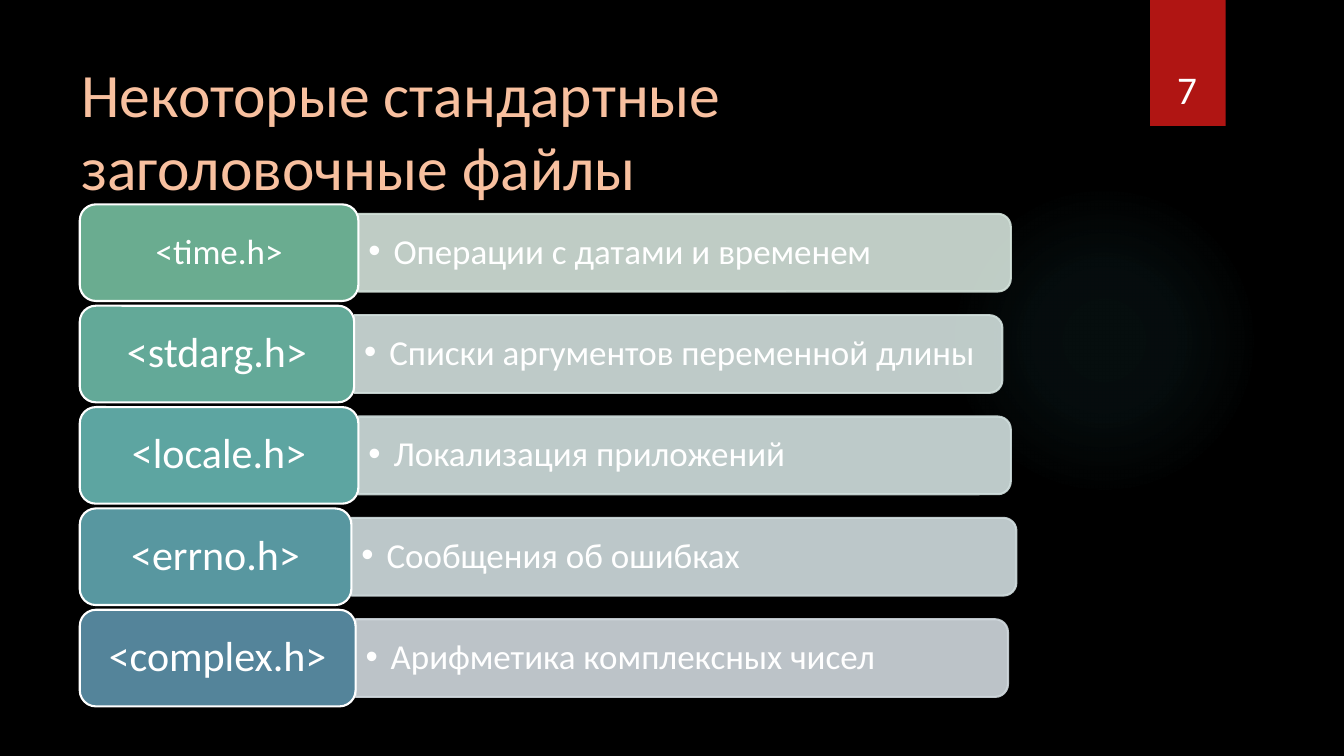
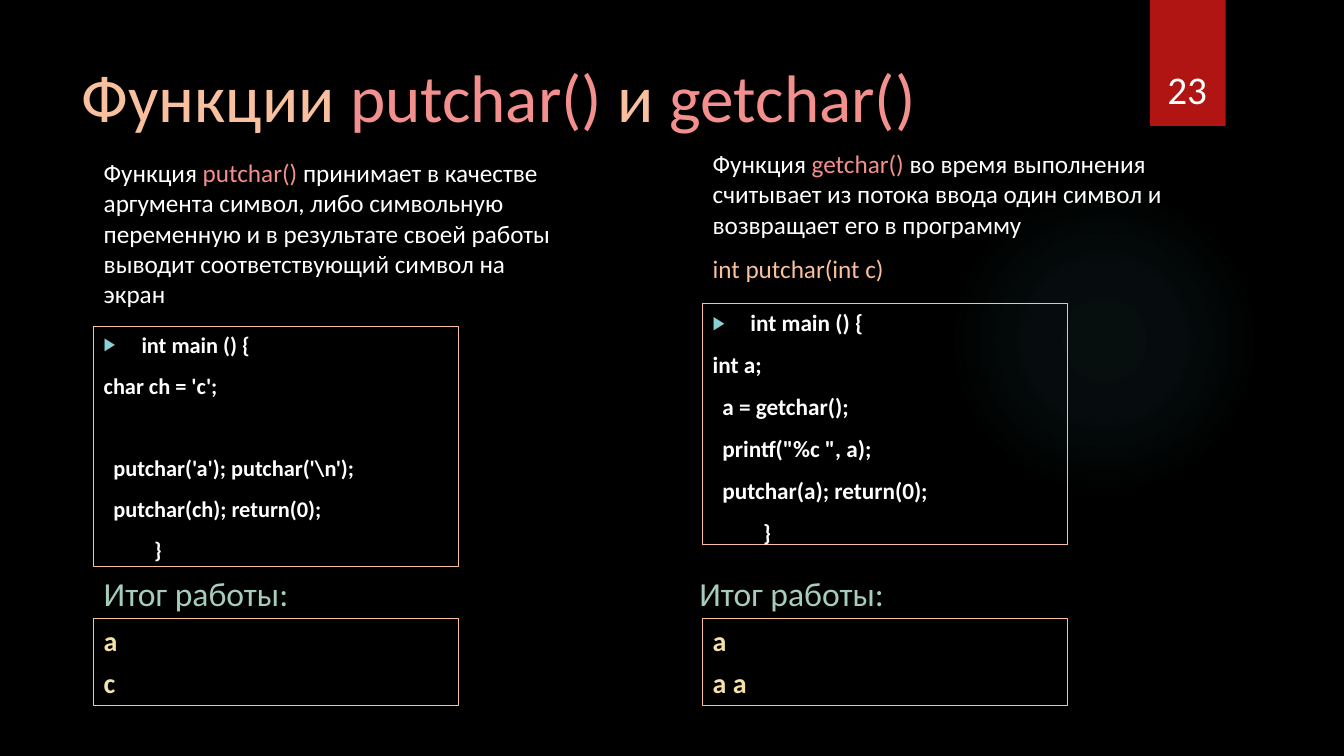
from lxml import etree
from pptx import Presentation
from pptx.dml.color import RGBColor
from pptx.enum.shapes import MSO_SHAPE
from pptx.enum.text import MSO_ANCHOR, MSO_AUTO_SIZE, PP_ALIGN
from pptx.oxml import parse_xml
from pptx.oxml.ns import nsdecls, qn
from pptx.util import Pt

FONT = "Calibri"
COLORS = {
    "background": "000000", "band": "B01513", "glow": "50B9C1",
    "white": "FFFFFF", "peach": "F8C09F", "pink": "F38F8D",
    "mint": "A6CDBC", "yellow": "F5E2A9", "bullet": "8AD0D6",
}

# Shared frames: left, top, width, height
GLOW = (677.5, 132, 222, 222)
BAND = (821.5, 0, 54, 90)
NUMBER = (815, 23, 66, 60.5)
TITLE = (51, 36, 740)
GLOW_STOPS = [(0, 7), (36, 6), (69, 0)]  # position and opacity, in percent

# Text styles
BODY = {"size": 18, "space_before": 10}
CODE = {"size": 16, "bold": True, "space_before": 10}
LABEL = {"size": 24}
RESULT = {"size": 20, "bold": True, "space_before": 6}
HEADER = {"size": 30, "alignment": PP_ALIGN.CENTER, "line_spacing": 0.9}
DESCRIPTION = {"size": 25, "line_spacing": 0.9, "margin": 18, "hanging": 18, "bullet": "•"}
PAGE_NUMBER = {"size": 28, "alignment": PP_ALIGN.CENTER}

# Paragraph variations inside the code boxes
CODE_START = {"margin": 27, "hanging": 27, "bullet": "▶",
              "bullet_color": "bullet", "bullet_percent": 80}
CODE_INDENT = {"margin": 7}
CODE_AFTER_GAP = {"margin": 7, "space_before": 39.5}
CODE_END = {"margin": 36}

HEADERS_SLIDE = {
    "number": "7",
    "title": [("Некоторые стандартные заголовочные файлы", "peach")],
    "title_size": 44,
    "title_height": 110,
    # name, description, name size, name width, bar length, name fill, bar fill
    "rows": [
        ("<time.h>", "Операции с датами и временем", 25, 199, 466, "6AAC90", "D4E3DB"),
        ("<stdarg.h>", "Списки аргументов переменной длины", 30, 196, 463, "63A998", "D3E1DE"),
        ("<locale.h>", "Локализация приложений", 30, 199, 466, "5DA5A1", "D2E0DF"),
        ("<errno.h>", "Сообщения об ошибках", 30, 194, 475, "5897A0", "D1DDDF"),
        ("<complex.h>", "Арифметика комплексных чисел", 30, 197, 466, "54849A", "D1D9DE"),
    ],
}
ROW_LEFT, ROW_TOP, ROW_PITCH = 57, 146, 72.4
NAME_HEIGHT, BAR_HEIGHT = 69, 55.5

FUNCTIONS_SLIDE = {
    "number": "23",
    "title": [("Функции ", "peach"), ("putchar() ", "pink"), ("и ", "peach"), ("getсhar()", "pink")],
    "title_size": 48,
    "title_height": 70,
    "columns": [
        {
            "left": 67, "label_left": 67, "body_height": 119, "code_top": 233, "code_size": 16,
            "body": [
                ([("Функция ", "white"), ("putchar()", "pink"),
                  (" принимает в качестве аргумента символ, либо символьную переменную "
                   "и в результате своей работы выводит соответствующий символ на экран", "white")], {}),
            ],
            "code": [
                ("int main () {", CODE_START),
                ("char ch = 'c';", {}),
                ("putchar('a'); putchar('\\n');", CODE_AFTER_GAP),
                ("putchar(ch); return(0);", CODE_INDENT),
                ("}", CODE_END),
            ],
            "result": ["a", "c"],
        },
        {
            "left": 502, "label_left": 492.5, "body_height": 101, "code_top": 217, "code_size": 16.6,
            "body": [
                ([("Функция ", "white"), ("getchar()", "pink"),
                  (" во время выполнения считывает из потока ввода один символ "
                   "и возвращает его в программу", "white")], {}),
                ([("int putchar(int c)", "peach")], {}),
            ],
            "code": [
                ("int main () {", CODE_START),
                ("int a;", {}),
                ("a = getchar();", CODE_INDENT),
                ("printf(\"%c \", a);", CODE_INDENT),
                ("putchar(a); return(0);", CODE_INDENT),
                ("}", CODE_END),
            ],
            "result": ["a", "a a"],
        },
    ],
}
RESULT_LABEL = "Итог работы:"
BODY_TOP, BODY_WIDTH = 105, 346
BOX_WIDTH, CODE_HEIGHT = 260.5, 172
LABEL_TOP, LABEL_HEIGHT = 405.5, 36
RESULT_TOP, RESULT_HEIGHT = 441.5, 62.5


def rgb(name):
    return RGBColor.from_string(COLORS.get(name, name))


def in_points(frame):
    return [Pt(length) for length in frame]


def add_bullet(properties, style):
    if "bullet_color" in style:
        color = etree.SubElement(properties, qn("a:buClr"))
        etree.SubElement(color, qn("a:srgbClr"), val=COLORS[style["bullet_color"]])
    if "bullet_percent" in style:
        etree.SubElement(properties, qn("a:buSzPct"), val=str(style["bullet_percent"] * 1000))
    etree.SubElement(properties, qn("a:buFont"), typeface="Arial")
    etree.SubElement(properties, qn("a:buChar"), char=style["bullet"])


def format_paragraph(paragraph, style):
    values = {
        "alignment": style.get("alignment", PP_ALIGN.LEFT),
        "line_spacing": style.get("line_spacing"),
        "space_before": Pt(style.get("space_before", 0)),
    }
    for name, value in values.items():
        setattr(paragraph, name, value)
    properties = paragraph.runs[0]._r.getparent().get_or_add_pPr()
    properties.set("marL", str(Pt(style.get("margin", 0))))
    properties.set("indent", str(-Pt(style.get("hanging", 0))))
    if "bullet" in style:
        add_bullet(properties, style)


def write(shape, paragraphs, style, anchor=MSO_ANCHOR.TOP):
    """Fill a shape with (runs, style changes) pairs; a run is (text, colour)."""
    frame = shape.text_frame
    settings = {"word_wrap": True, "auto_size": MSO_AUTO_SIZE.NONE, "vertical_anchor": anchor}
    for name, value in settings.items():
        setattr(frame, name, value)
    for index, (runs, changes) in enumerate(paragraphs):
        paragraph = frame.add_paragraph() if index else frame.paragraphs[0]
        merged = {**style, **changes}
        for text, color in runs:
            run = paragraph.add_run()
            run.text = text
            font = {"name": FONT, "size": Pt(merged["size"]), "bold": merged.get("bold", False)}
            for name, value in font.items():
                setattr(run.font, name, value)
            run.font.color.rgb = rgb(color)
        format_paragraph(paragraph, merged)


def plain(text, color="white", changes=None):
    """One paragraph in a single colour."""
    return [(text, color)], changes or {}


def add_text(slide, frame, paragraphs, style, anchor=MSO_ANCHOR.TOP):
    write(slide.shapes.add_textbox(*in_points(frame)), paragraphs, style, anchor)


def add_shape(slide, kind, frame, fill=None, line=None, line_width=0.75):
    shape = slide.shapes.add_shape(kind, *in_points(frame))
    shape.shadow.inherit = False
    if fill:
        shape.fill.solid()
        shape.fill.fore_color.rgb = rgb(fill)
    else:
        shape.fill.background()
    if line:
        shape.line.color.rgb = rgb(line)
        shape.line.width = Pt(line_width)
    else:
        shape.line.fill.background()
    return shape


def set_opacity(shape, percent):
    for color in shape.element.spPr.iter(qn("a:srgbClr")):
        etree.SubElement(color, qn("a:alpha"), val=str(percent * 1000))


def set_glow(shape):
    """Replace the fill with a radial gradient that fades out."""
    stops = "".join(
        f'<a:gs pos="{position * 1000}"><a:srgbClr val="{COLORS["glow"]}">'
        f'<a:alpha val="{opacity * 1000}"/></a:srgbClr></a:gs>'
        for position, opacity in GLOW_STOPS
    )
    gradient = parse_xml(
        f'<a:gradFill {nsdecls("a")} rotWithShape="1"><a:gsLst>{stops}</a:gsLst>'
        '<a:path path="circle"><a:fillToRect l="50000" t="50000" r="50000" b="50000"/></a:path>'
        '</a:gradFill>'
    )
    properties = shape.element.spPr
    properties.replace(properties.find(qn("a:noFill")), gradient)


def decorate_layout(layout, slide):
    """Draw the glow and the band on a slide, then move them to its layout."""
    for placeholder in list(layout.placeholders):
        if placeholder.placeholder_format.idx:
            layout.shapes.element.remove(placeholder.element)
    glow = add_shape(slide, MSO_SHAPE.OVAL, GLOW)
    set_glow(glow)
    band = add_shape(slide, MSO_SHAPE.RECTANGLE, BAND, "band")
    for shape in (glow, band):
        layout.shapes.element.append(shape.element)


def add_heading(slide, content):
    title = slide.shapes.title
    frame = in_points((*TITLE, content["title_height"]))
    for name, value in zip(("left", "top", "width", "height"), frame):
        setattr(title, name, value)
    write(title, [(content["title"], {})], {"size": content["title_size"]})
    add_text(slide, NUMBER, [plain(content["number"])], PAGE_NUMBER, MSO_ANCHOR.BOTTOM)


def add_header_rows(slide, rows):
    for index, (name, description, size, width, length, name_fill, bar_fill) in enumerate(rows):
        top = ROW_TOP + index * ROW_PITCH
        middle = top + NAME_HEIGHT / 2
        bar_left = ROW_LEFT + width
        upright = (bar_left + (length - BAR_HEIGHT) / 2, middle - length / 2, BAR_HEIGHT, length)
        bar = add_shape(slide, MSO_SHAPE.ROUND_2_SAME_RECTANGLE, upright, bar_fill, bar_fill, 1.5)
        bar.rotation = 90
        set_opacity(bar, 90)
        add_text(slide, (bar_left, middle - BAR_HEIGHT / 2, length, BAR_HEIGHT),
                 [plain(description)], DESCRIPTION, MSO_ANCHOR.MIDDLE)
        label = add_shape(slide, MSO_SHAPE.ROUNDED_RECTANGLE, (ROW_LEFT, top, width, NAME_HEIGHT),
                          name_fill, "white", 1.5)
        write(label, [plain(name)], {**HEADER, "size": size}, MSO_ANCHOR.MIDDLE)


def add_function_column(slide, column):
    left = column["left"]
    add_text(slide, (left, BODY_TOP, BODY_WIDTH, column["body_height"]),
             column["body"], BODY, MSO_ANCHOR.BOTTOM)
    code = add_shape(slide, MSO_SHAPE.RECTANGLE,
                     (left, column["code_top"], BOX_WIDTH, CODE_HEIGHT), line="peach")
    write(code, [plain(text, changes=changes) for text, changes in column["code"]],
          {**CODE, "size": column["code_size"]})
    add_text(slide, (column["label_left"], LABEL_TOP, 300, LABEL_HEIGHT),
             [plain(RESULT_LABEL, "mint")], LABEL)
    result = add_shape(slide, MSO_SHAPE.RECTANGLE,
                       (left, RESULT_TOP, BOX_WIDTH, RESULT_HEIGHT), line="peach")
    write(result, [plain(text, "yellow") for text in column["result"]], RESULT)


def main():
    presentation = Presentation()
    presentation.slide_width, presentation.slide_height = Pt(960), Pt(540)
    background = presentation.slide_master.background.fill
    background.solid()
    background.fore_color.rgb = rgb("background")

    layout = presentation.slide_layouts[5]
    headers = presentation.slides.add_slide(layout)
    decorate_layout(layout, headers)
    add_heading(headers, HEADERS_SLIDE)
    add_header_rows(headers, HEADERS_SLIDE["rows"])

    functions = presentation.slides.add_slide(layout)
    add_heading(functions, FUNCTIONS_SLIDE)
    for column in FUNCTIONS_SLIDE["columns"]:
        add_function_column(functions, column)

    presentation.save("out.pptx")


if __name__ == "__main__":
    main()
